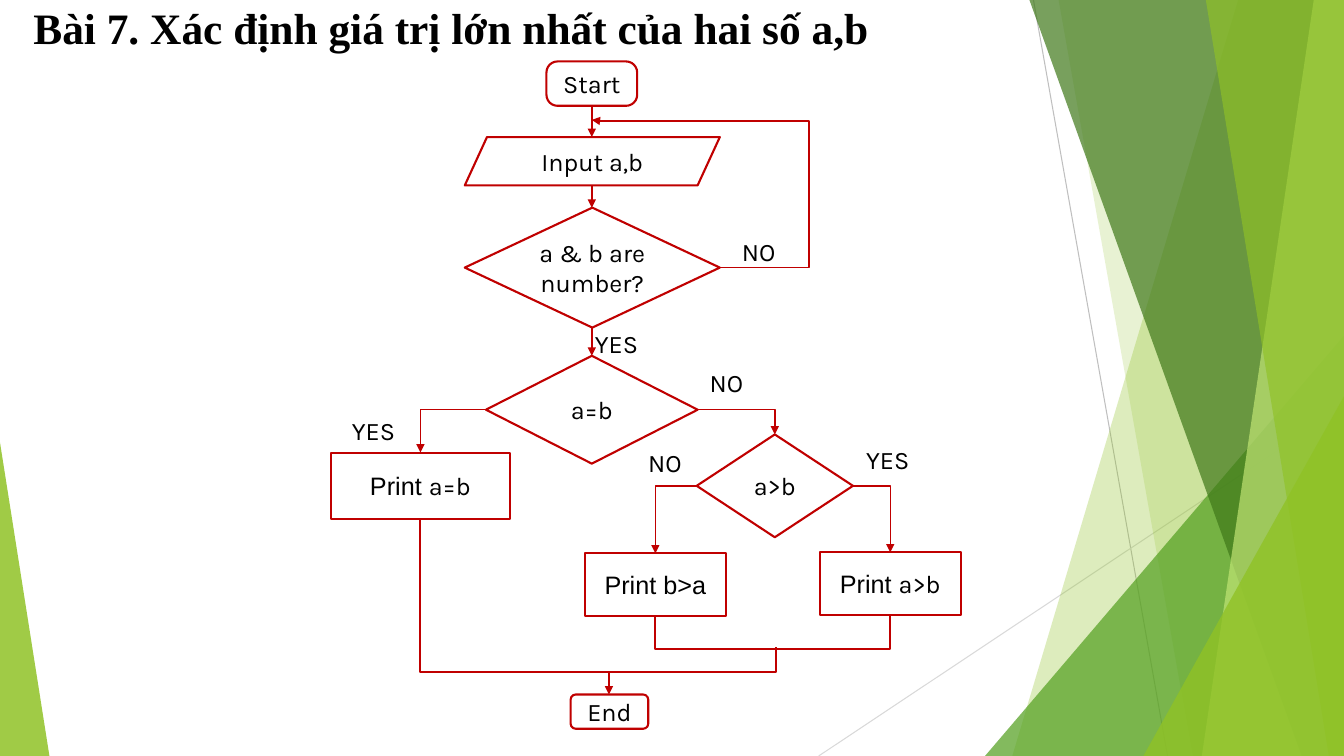
from lxml import etree
from pptx import Presentation
from pptx.dml.color import RGBColor
from pptx.enum.shapes import MSO_CONNECTOR, MSO_SHAPE
from pptx.enum.text import MSO_ANCHOR, MSO_AUTO_SIZE, PP_ALIGN
from pptx.oxml.ns import qn
from pptx.util import Inches, Pt

DIAMOND, RECT = MSO_SHAPE.DIAMOND, MSO_SHAPE.RECTANGLE
ROUNDED, INPUT_BOX = MSO_SHAPE.ROUNDED_RECTANGLE, MSO_SHAPE.PARALLELOGRAM
TRIANGLE = MSO_SHAPE.ISOSCELES_TRIANGLE
STRAIGHT, ELBOW = MSO_CONNECTOR.STRAIGHT, MSO_CONNECTOR.ELBOW
CENTER, MIDDLE, NO_FIT = PP_ALIGN.CENTER, MSO_ANCHOR.MIDDLE, MSO_AUTO_SIZE.NONE
LEFT_SITE, RIGHT_SITE, TOP_SITE = 1, 3, 0

BLACK = RGBColor(0x00, 0x00, 0x00)
RED = RGBColor(0xC0, 0x00, 0x00)
LIME = RGBColor(0x90, 0xC2, 0x26)
PALE_LIME = RGBColor(0xC0, 0xE4, 0x74)
GREEN = RGBColor(0x54, 0xA0, 0x21)
DARK_GREEN = RGBColor(0x3F, 0x78, 0x19)
GRAY = RGBColor(0xBF, 0xBF, 0xBF)
LIGHT_GRAY = RGBColor(0xD9, 0xD9, 0xD9)

SLIDE_W, SLIDE_H = 13.33, 7.5


def add_runs(frame, runs, size, bold=False):
    """Fill a frame with one centred paragraph of (text, font) runs."""
    frame.word_wrap = True
    frame.vertical_anchor = MIDDLE
    paragraph = frame.paragraphs[0]
    paragraph.alignment = CENTER
    for text, font in runs:
        run = paragraph.add_run()
        run.text = text
        run.font.name, run.font.size, run.font.bold = font, Pt(size), bold
        run.font.color.rgb = BLACK
    return paragraph


def paint(shape, color, percent):
    shape.shadow.inherit = False
    shape.fill.solid()
    shape.fill.fore_color.rgb = color
    shape.line.fill.background()
    srgb = shape.fill._xPr.find(f".//{qn('a:srgbClr')}")
    etree.SubElement(srgb, qn("a:alpha"), val=str(percent * 1000))


def add_outline(slide, points, close):
    first, *rest = [(Inches(x), Inches(y)) for x, y in points]
    builder = slide.shapes.build_freeform(*first)
    builder.add_line_segments(rest, close=close)
    return builder.convert_to_shape()


def add_line(slide, start, end, color, width, kind=STRAIGHT, arrow=False):
    line = slide.shapes.add_connector(kind, *map(Inches, (*start, *end)))
    line.line.color.rgb = color
    line.line.width = Pt(width)
    if arrow:
        etree.SubElement(line.line._get_or_add_ln(), qn("a:tailEnd"), type="triangle")
    etree.SubElement(line._element.spPr, qn("a:effectLst"))
    return line


def add_backdrop(slide, width, height):
    add_line(slide, (10.25, 0), (11.58, height), GRAY, 0.75)
    add_line(slide, (width, 4.03), (8.12, height), LIGHT_GRAY, 0.75)

    def band(top_x, bottom_x, color, percent):
        corners = [(top_x, 0), (width, 0), (width, height), (bottom_x, height)]
        paint(add_outline(slide, corners, True), color, percent)

    def corner(left, top, corner_w, apex, color, percent):
        box = map(Inches, (left, top, corner_w, height - top))
        triangle = slide.shapes.add_shape(TRIANGLE, *box)
        triangle.adjustments[0] = apex
        paint(triangle, color, percent)

    # Translucent facets on the right edge, back to front
    band(12.28, 10.04, LIME, 30)
    band(10.5, 11.83, LIME, 20)
    corner(9.77, 3.33, width - 9.77, 1, GREEN, 72)
    band(10.21, 12.91, DARK_GREEN, 70)
    band(13.03, 11.92, PALE_LIME, 70)
    band(11.96, 13.18, LIME, 65)
    corner(11.34, 3.93, width - 11.34, 1, LIME, 80)
    # Wedge on the left edge
    corner(0, 4.39, 0.49, 0, LIME, 85)


def add_title(slide, left, top, width, height):
    title = slide.shapes.title
    title.left, title.top, title.width, title.height = map(
        Inches, (left, top, width, height))
    title.text_frame.auto_size = NO_FIT
    heading = [("Bài 7. Xác định giá trị lớn nhất của hai số a,b", "Times New Roman")]
    add_runs(title.text_frame, heading, 31, bold=True).line_spacing = 0.9


def add_flowchart(slide, left, top):
    def place(x, y):
        return left + x, top + y

    def node(kind, x, y, width, height, *runs, rounding=None, outlined=True):
        box = map(Inches, (*place(x, y), width, height))
        shape = slide.shapes.add_shape(kind, *box)
        shape.shadow.inherit = False
        shape.fill.background()
        if outlined:
            shape.line.color.rgb = RED
            shape.line.width = Pt(1.5)
        else:
            shape.line.fill.background()
        if rounding is not None:
            shape.adjustments[0] = rounding
        frame = shape.text_frame
        frame.margin_left = frame.margin_right = Inches(0.05)
        frame.margin_top = frame.margin_bottom = 0
        add_runs(frame, runs, 18)
        return shape

    def arrow(start, end):
        add_line(slide, place(*start), place(*end), RED, 1, arrow=True)

    def elbow(source, site, target, preset="bentConnector2"):
        bend = add_line(slide, (0, 0), (1, 1), RED, 1, ELBOW, arrow=True)
        bend.begin_connect(source, site)
        if target is not None:
            bend.end_connect(target, TOP_SITE)
        bend._element.spPr.prstGeom.set("prst", preset)
        return bend

    def merge(*points):
        path = add_outline(slide, [place(*p) for p in points], False)
        path.shadow.inherit = False
        path.fill.background()
        path.line.color.rgb = RED
        path.line.width = Pt(1.5)

    # Steps and decisions
    node(ROUNDED, 2.14, 0, 0.9, 0.44, ("Start", "Karla"), rounding=0.25)
    node(INPUT_BOX, 1.33, 0.75, 2.53, 0.48, ("Input a,b", "Karla"), rounding=0.46)
    is_number = node(DIAMOND, 1.33, 1.45, 2.53, 1.19, ("a & b are number?", "Karla"))
    is_equal = node(DIAMOND, 1.54, 2.92, 2.1, 1.07, ("a=b", "Karla"))
    is_greater = node(DIAMOND, 3.63, 3.7, 1.55, 1.02, ("a>b", "Karla"))
    print_equal = node(RECT, 0, 3.88, 1.78, 0.66, ("Print ", "Arial"), ("a=b", "Karla"))
    print_b = node(RECT, 2.52, 4.88, 1.4, 0.62, ("Print b>a", "Arial"))
    print_a = node(RECT, 4.85, 4.87, 1.4, 0.62, ("Print ", "Arial"), ("a>b", "Karla"))
    node(ROUNDED, 2.38, 6.28, 0.77, 0.34, ("End", "Karla"), rounding=0.15)

    # Answers beside the branches
    for answer, x, y in [("NO", 3.86, 1.71), ("YES", 2.45, 2.63), ("YES", 0.04, 3.49),
                         ("YES", 5.14, 3.78), ("NO", 3.54, 3.01), ("NO", 2.93, 3.81)]:
        node(ROUNDED, x, y, 0.77, 0.34, (answer, "Karla"), outlined=False)

    # Main path downwards
    for start_y, end_y in [(0.44, 0.75), (1.24, 1.45), (2.64, 2.92)]:
        arrow((2.59, start_y), (2.59, end_y))

    # Branches, and the loop back to the input
    elbow(is_equal, LEFT_SITE, print_equal)
    elbow(is_equal, RIGHT_SITE, is_greater)
    elbow(is_greater, LEFT_SITE, print_b)
    elbow(is_greater, RIGHT_SITE, print_a)
    loop = elbow(is_number, RIGHT_SITE, None, "bentConnector4")
    loop.end_x, loop.end_y = map(Inches, place(2.59, 0.58))
    guides = loop._element.spPr.prstGeom.get_or_add_avLst()
    for guide, value in (("adj1", -69600), ("adj2", 99400)):
        etree.SubElement(guides, qn("a:gd"), name=guide, fmla=f"val {value}")

    # Results join and lead to the end
    merge((3.22, 5.5), (3.22, 5.83), (5.55, 5.83), (5.55, 5.49))
    merge((0.89, 4.54), (0.89, 6.06), (4.42, 6.06), (4.42, 5.81))
    arrow((2.76, 6.06), (2.76, 6.28))


def main():
    deck = Presentation()
    deck.slide_width, deck.slide_height = Inches(SLIDE_W), Inches(SLIDE_H)
    slide = deck.slides.add_slide(deck.slide_layouts[5])
    add_backdrop(slide, SLIDE_W, SLIDE_H)
    add_title(slide, 0, 0, 8.94, 0.61)
    add_flowchart(slide, 3.28, 0.61)
    deck.save("out.pptx")


if __name__ == "__main__":
    main()
